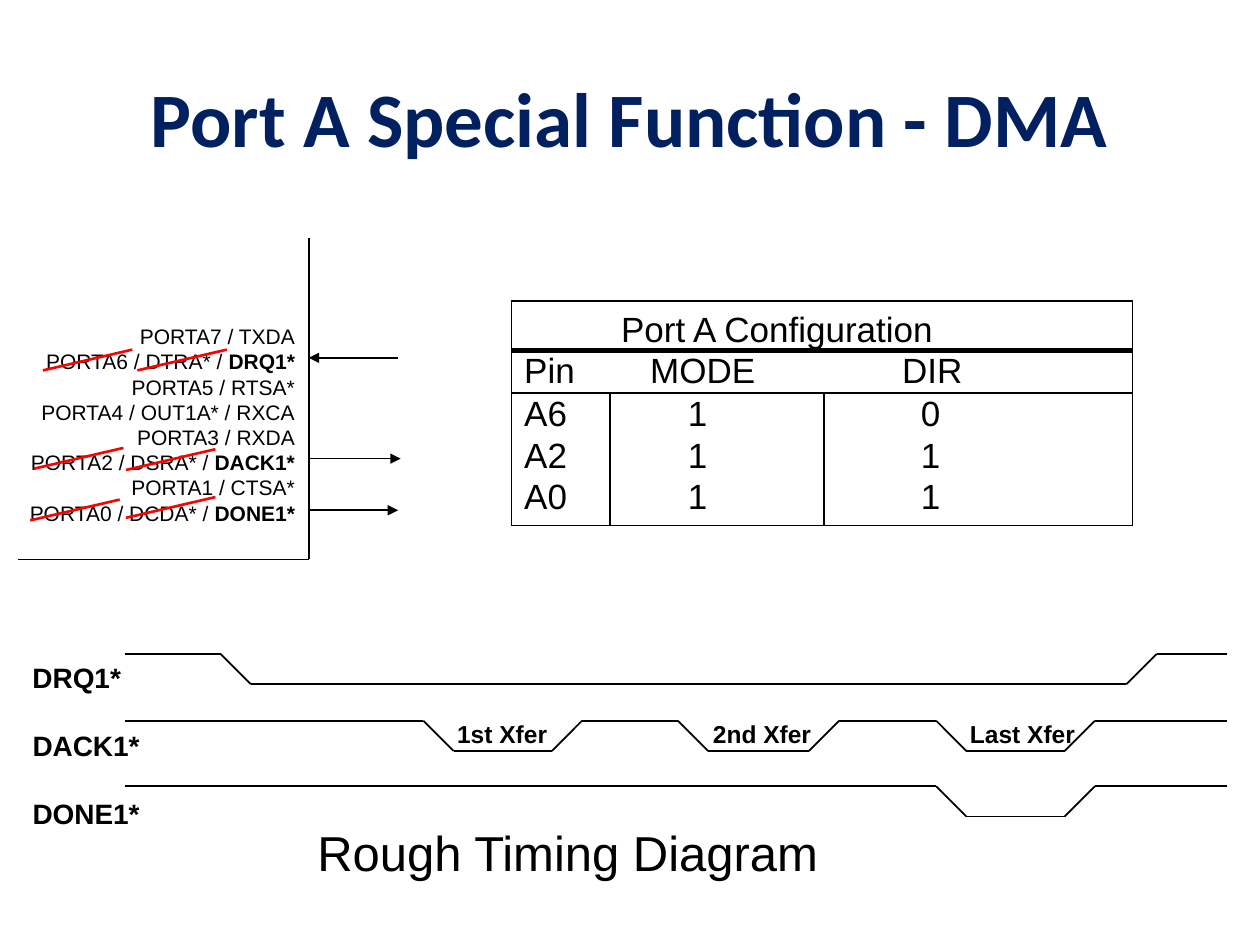
from itertools import pairwise, product

from lxml.etree import SubElement
from pptx import Presentation
from pptx.dml.color import RGBColor
from pptx.enum.shapes import MSO_CONNECTOR
from pptx.enum.text import MSO_ANCHOR, MSO_AUTO_SIZE, PP_ALIGN
from pptx.oxml.ns import qn
from pptx.util import Inches, Pt

HUES = {"ink": "000000", "head": "002060", "strike": "FF0000"}
COLS, ROWS = 100, 75
WIDE, HIGH = Inches(10), Inches(7.5)
SLOPE = 2.4
PLAIN = "{2D5ABB26-0587-4C30-8999-92F81FD0307C}"
FIXED = {"word_wrap": True, "auto_size": MSO_AUTO_SIZE.NONE, "vertical_anchor": MSO_ANCHOR.MIDDLE}
LOOSE = {"word_wrap": False, "auto_size": MSO_AUTO_SIZE.SHAPE_TO_FIT_TEXT, "vertical_anchor": MSO_ANCHOR.TOP}
PINS = [
    ("PORTA7 / TXDA", ""),
    ("PORTA6 / DTRA* / ", "DRQ1*"),
    ("PORTA5 / RTSA*", ""),
    ("PORTA4 / OUT1A* / RXCA", ""),
    ("PORTA3 / RXDA", ""),
    ("PORTA2 / DSRA* / ", "DACK1*"),
    ("PORTA1 / CTSA*", ""),
    ("PORTA0 / DCDA* / ", "DONE1*"),
]
CONFIG = [
    ("Port A Configuration", "", ""),
    ("Pin", "MODE", "DIR"),
    ("A6", "1", "0"),
    ("A2", "1", "1"),
    ("A0", "1", "1"),
]
LAST = (74.3, 86.9)
WAVES = [
    ("DRQ1*", 51.9, 9, [(17.5, 91.8)]),
    ("DACK1*", 57.2, 10.5, [(33.6, 46.2), (53.8, 66.6), LAST]),
    ("DONE1*", 62.4, 10.5, [LAST]),
]
XFERS = [("1st Xfer", 35.3, 9.3), ("2nd Xfer", 55.6, 10), ("Last Xfer", 76, 10.6)]
STRIKES = [(3.4, 29.4), (10.9, 29.4), (2.7, 37.2), (10, 37.3), (2.4, 41.3), (10, 41.1)]
ARROWS = [(31.6, 24.5, 28.4), (24.5, 31.8, 36.4), (24.5, 31.6, 40.5)]


def col(n):
    return round(WIDE * n / COLS)


def row(n):
    return round(HIGH * n / ROWS)


def style(item, vals):
    for key, val in vals.items():
        setattr(item, key, val)


def tint(name):
    return RGBColor.from_string(HUES[name])


def write(para, text, size, hue="ink", bold=False, face="Arial"):
    run = para.add_run()
    run.text = text
    style(run.font, {"name": face, "size": Pt(size), "bold": bold})
    run.font.color.rgb = tint(hue)


def label(slide, box, lines, size, align=PP_ALIGN.LEFT, fit=LOOSE, **look):
    x, y, w, h = box
    frame = slide.shapes.add_textbox(col(x), row(y), col(w), row(h)).text_frame
    style(frame, fit)
    for i, (text, strong) in enumerate(lines):
        para = frame.add_paragraph() if i else frame.paragraphs[0]
        para.alignment = align
        write(para, text, size, **look)
        if strong:
            write(para, strong, size, bold=True)


def stroke(slide, start, end, hue="ink", width=1, arrow=False):
    (x1, y1), (x2, y2) = start, end
    line = slide.shapes.add_connector(MSO_CONNECTOR.STRAIGHT, col(x1), row(y1), col(x2), row(y2))
    line.line.width = Pt(width)
    line.line.color.rgb = tint(hue)
    props = line.element.spPr
    if arrow:
        SubElement(props.find(qn("a:ln")), qn("a:tailEnd"), type="triangle")
    SubElement(props, qn("a:effectLst"))


def trace(slide, points):
    for start, end in pairwise(points):
        stroke(slide, start, end)


def wave(slide, top, dips):
    low = top + SLOPE
    points = [(9.9, top)]
    for left, right in dips:
        points += [(left, top), (left + SLOPE, low), (right - SLOPE, low), (right, top)]
    trace(slide, points + [(97.4, top)])


def border(cell, widths):
    props = cell._tc.get_or_add_tcPr()
    for i, (side, width) in enumerate(zip("LRTB", widths)):
        edge = SubElement(props, qn("a:ln" + side), w=str(Pt(width)))
        fill = SubElement(edge, qn("a:solidFill" if width else "a:noFill"))
        if width:
            SubElement(fill, qn("a:srgbClr"), val=HUES["ink"])
        props.insert(i, edge)


def config(slide):
    spans, tall = [7.8, 17, 24.5], [3.9, 3.4, 3.3, 3.4, 3.8]
    rules = [1, 3, 1, 0, 0, 1]
    heads, values = [1, 3.2, 6.2], [1, 6.2, 7.7]
    shape = slide.shapes.add_table(5, 3, col(40.6), row(23.9), col(sum(spans)), row(sum(tall)))
    table = shape.table
    style(table, {"first_row": False, "horz_banding": False})
    next(shape.element.iter(qn("a:tableStyleId"))).text = PLAIN
    for i, span in enumerate(spans):
        table.columns[i].width = col(span)
    for i, size in enumerate(tall):
        table.rows[i].height = row(size)
    table.cell(0, 0).merge(table.cell(0, 2))
    for r, c in product(range(5), range(3)):
        cell = table.cell(r, c)
        pad = 8.7 if r == 0 else (heads if r == 1 else values)[c]
        seat = {0: MSO_ANCHOR.BOTTOM, 4: MSO_ANCHOR.TOP}.get(r, MSO_ANCHOR.MIDDLE)
        style(cell, {"margin_left": col(pad), "margin_right": 0, "margin_top": 0,
                     "margin_bottom": 0, "vertical_anchor": seat})
        cell.fill.background()
        left = r != 1 or c == 0
        right = r != 1 or c == 2
        border(cell, (int(left), int(right), rules[r], rules[r + 1]))
        if CONFIG[r][c]:
            write(cell.text_frame.paragraphs[0], CONFIG[r][c], 20)


def main():
    deck = Presentation()
    style(deck, {"slide_width": WIDE, "slide_height": HIGH})
    slide = deck.slides.add_slide(deck.slide_layouts[6])
    label(slide, (5, 3, 90, 12.5), [("Port A Special Function - DMA", "")], 44,
          PP_ALIGN.CENTER, FIXED, hue="head", bold=True, face="Calibri")
    trace(slide, [(1.4, 44.4), (24.5, 44.4), (24.5, 18.9)])
    for start, end, y in ARROWS:
        stroke(slide, (start, y), (end, y), arrow=True)
    config(slide)
    label(slide, (1.2, 25.2, 23.2, 17), PINS, 12, PP_ALIGN.RIGHT)
    for x, y in STRIKES:
        stroke(slide, (x, y), (x + 7.1, y - 1.65), "strike", 1.5)
    for i, (name, top, width, dips) in enumerate(WAVES):
        wave(slide, top, dips)
        label(slide, (1.6, 51.9 + 5.4 * i, width, 3.7), [(name, "")], 16, bold=True)
    for name, x, width in XFERS:
        label(slide, (x, 56.6, width, 3.3), [(name, "")], 14, bold=True)
    label(slide, (24.2, 64.8, 42.1, 5.7), [("Rough Timing Diagram", "")], 28)
    deck.save("out.pptx")


if __name__ == "__main__":
    main()
